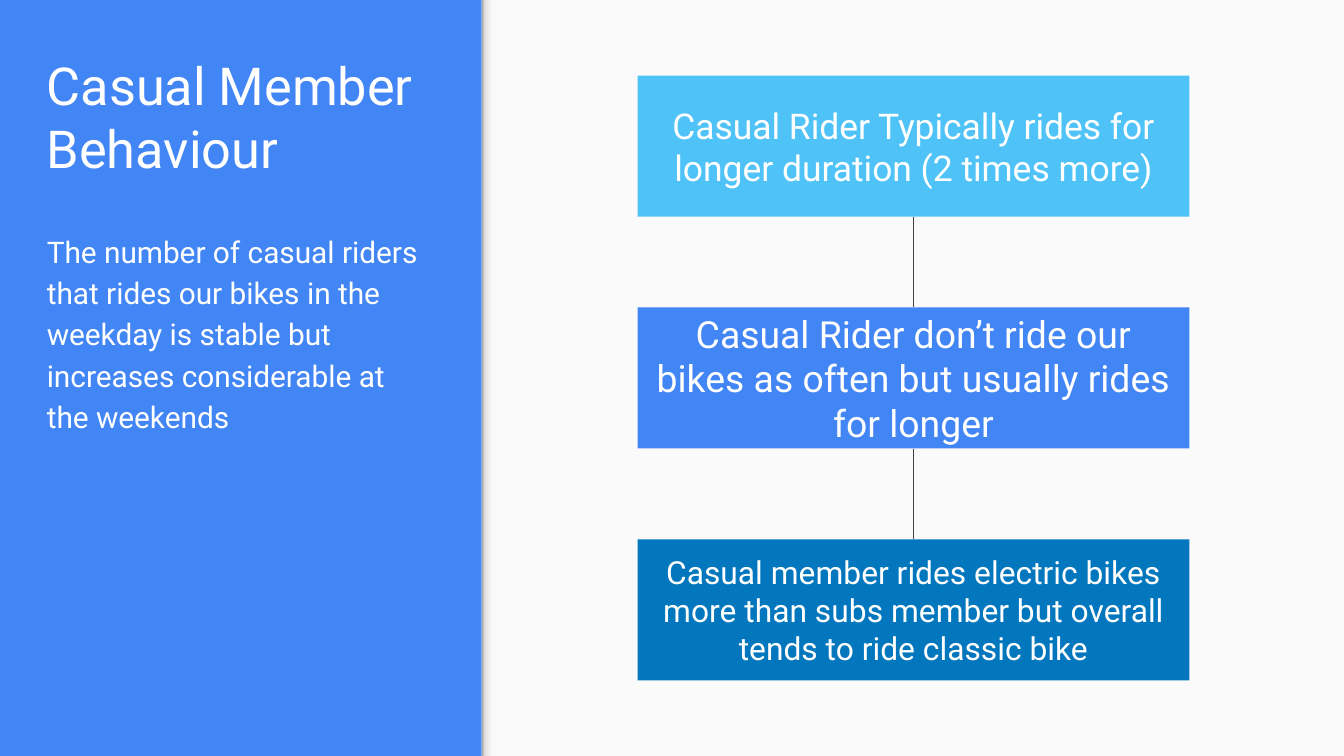
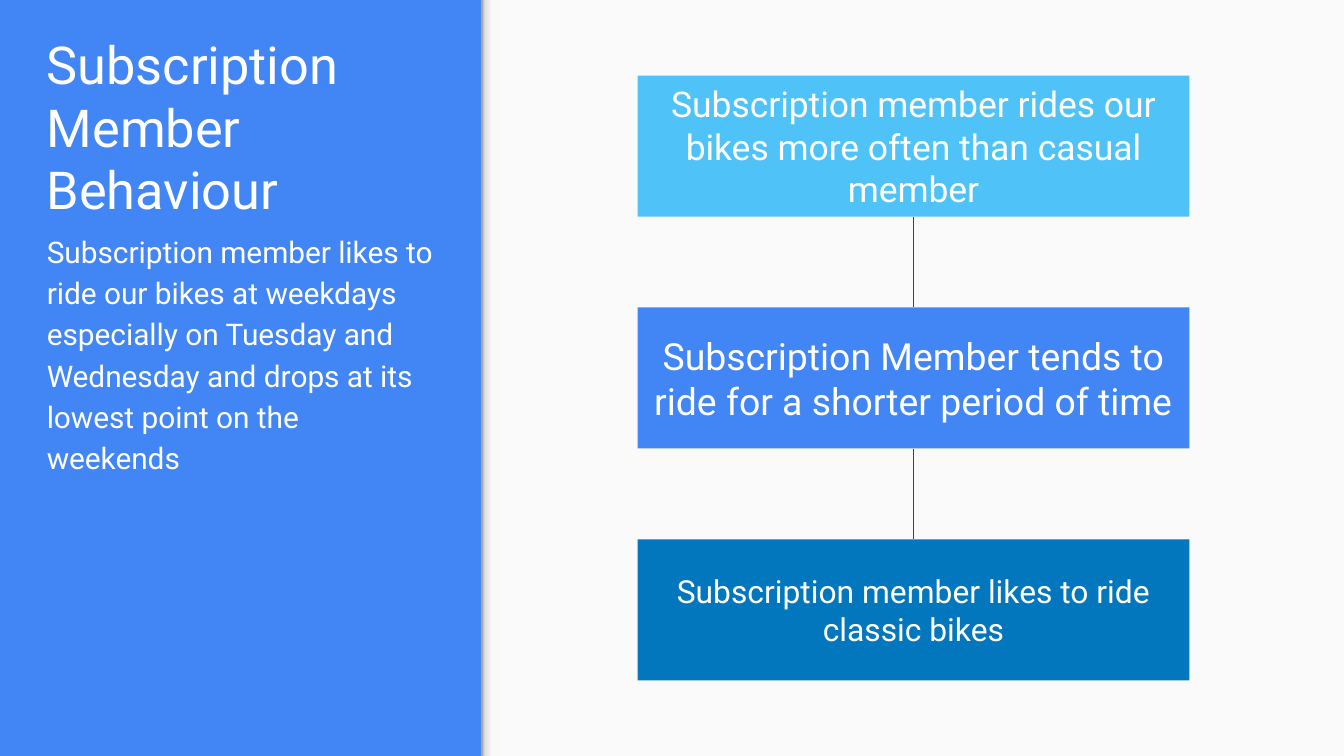
from lxml import etree
from pptx import Presentation
from pptx.dml.color import RGBColor
from pptx.enum.shapes import MSO_CONNECTOR, MSO_SHAPE
from pptx.enum.text import MSO_ANCHOR, PP_ALIGN
from pptx.oxml.ns import qn
from pptx.util import Pt

RECTANGLE = MSO_SHAPE.RECTANGLE
STRAIGHT = MSO_CONNECTOR.STRAIGHT
TOP, MIDDLE, BOTTOM = MSO_ANCHOR.TOP, MSO_ANCHOR.MIDDLE, MSO_ANCHOR.BOTTOM
LEFT, CENTER = PP_ALIGN.LEFT, PP_ALIGN.CENTER

COLORS = {
    "blue": "4285F4",
    "light_blue": "4FC3F7",
    "dark_blue": "0277BD",
    "paper": "FAFAFA",
    "white": "FFFFFF",
    "line": "424242",
}
EDGE_STOPS = [(0, "999999"), (20, "DEDEDE"), (64, "F9F9F9"), (100, "F9F9F9")]
FONT = "Roboto"
INSET = 7.2

# All boxes are left, top, width, height in points
WIDTH, HEIGHT = 720, 405
PANEL_WIDTH = 258
EDGE_WIDTH = 8.8
SIDEBAR_BOX = (18, 28.1, 221, 336.4)
BODY_OFFSET = 87.1
FLOW_BOX = (341.6, 40.5, 295.6, 324)
STEP_HEIGHT = 75.6
STEP_STYLES = [("light_blue", 19), ("blue", 20), ("dark_blue", 17)]

SLIDES = [
    {
        "title": "Casual Member Behaviour",
        "title_height": 75,
        "body": "The number of casual riders that rides our bikes in the weekday "
                "is stable but increases considerable at the weekends",
        "steps": [
            "Casual Rider Typically rides for longer duration (2 times more)",
            "Casual Rider don’t ride our bikes as often but usually rides for longer",
            "Casual member rides electric bikes more than subs member "
            "but overall tends to ride classic bike",
        ],
    },
    {
        "title": "Subscription Member Behaviour",
        "title_height": 97.2,
        "body": "Subscription member likes to ride our bikes at weekdays especially on "
                "Tuesday and Wednesday and drops at its lowest point on the weekends",
        "steps": [
            "Subscription member rides our bikes more often than casual member",
            "Subscription Member tends to ride for a shorter period of time",
            "Subscription member likes to ride classic bikes",
        ],
    },
]


def color(name):
    return RGBColor.from_string(COLORS[name])


def points(*values):
    return [Pt(value) for value in values]


def add_rectangle(page, box, fill):
    shape = page.shapes.add_shape(RECTANGLE, *points(*box))
    shape.shadow.inherit = False
    shape.line.fill.background()
    shape.fill.solid()
    shape.fill.fore_color.rgb = color(fill)
    return shape


def write_text(shape, text, size, anchor, align=LEFT):
    frame = shape.text_frame
    frame.text = text
    frame.word_wrap = True
    frame.vertical_anchor = anchor
    frame.margin_left = frame.margin_right = Pt(INSET)
    frame.margin_top = frame.margin_bottom = Pt(INSET)
    para = frame.paragraphs[0]
    para.alignment = align
    font = para.runs[0].font
    font.name, font.size = FONT, Pt(size)
    font.color.rgb = color("white")
    return para


def add_backdrop(page):
    page.background.fill.solid()
    page.background.fill.fore_color.rgb = color("blue")
    add_rectangle(page, (PANEL_WIDTH, 0, WIDTH - PANEL_WIDTH, HEIGHT), "paper")

    # Soft edge that fades from the sidebar into the paper
    edge = add_rectangle(page, (PANEL_WIDTH, 0, EDGE_WIDTH, HEIGHT), "paper")
    edge.fill.gradient()
    edge.fill.gradient_angle = 0
    stop_list = next(edge._element.iter(qn("a:gsLst")))
    for stop in list(stop_list):
        stop_list.remove(stop)
    for percent, value in EDGE_STOPS:
        stop = etree.SubElement(stop_list, qn("a:gs"), pos=str(percent * 1000))
        etree.SubElement(stop, qn("a:srgbClr"), val=value)


def add_sidebar(page, box, title, title_height, body):
    left, top, width, height = box
    title_box = page.shapes.add_textbox(*points(left, top, width, title_height))
    write_text(title_box, title, 28, BOTTOM)

    body_box = page.shapes.add_textbox(
        *points(left, top + BODY_OFFSET, width, height - BODY_OFFSET))
    para = write_text(body_box, body, 16, TOP)
    para.line_spacing = 1.15
    para.space_after = Pt(16)


def add_flow(page, box, steps):
    left, top, width, height = box
    pitch = (height - STEP_HEIGHT) / (len(steps) - 1)
    middle = left + width / 2
    for index, (text, (fill, size)) in enumerate(zip(steps, STEP_STYLES)):
        step_top = top + index * pitch
        step = add_rectangle(page, (left, step_top, width, STEP_HEIGHT), fill)
        write_text(step, text, size, MIDDLE, CENTER)

        # Line down from the step above
        if index:
            line = page.shapes.add_connector(
                STRAIGHT,
                *points(middle, step_top - pitch + STEP_HEIGHT, middle, step_top))
            line.line.color.rgb = color("line")
            line.line.width = Pt(0.75)
            etree.SubElement(line._element.spPr, qn("a:effectLst"))


def add_behaviour_slide(deck, content):
    page = deck.slides.add_slide(deck.slide_layouts[6])
    add_backdrop(page)
    add_sidebar(page, SIDEBAR_BOX, content["title"], content["title_height"],
                content["body"])
    add_flow(page, FLOW_BOX, content["steps"])


def main():
    deck = Presentation()
    deck.slide_width, deck.slide_height = points(WIDTH, HEIGHT)
    for content in SLIDES:
        add_behaviour_slide(deck, content)
    deck.save("out.pptx")


if __name__ == "__main__":
    main()
